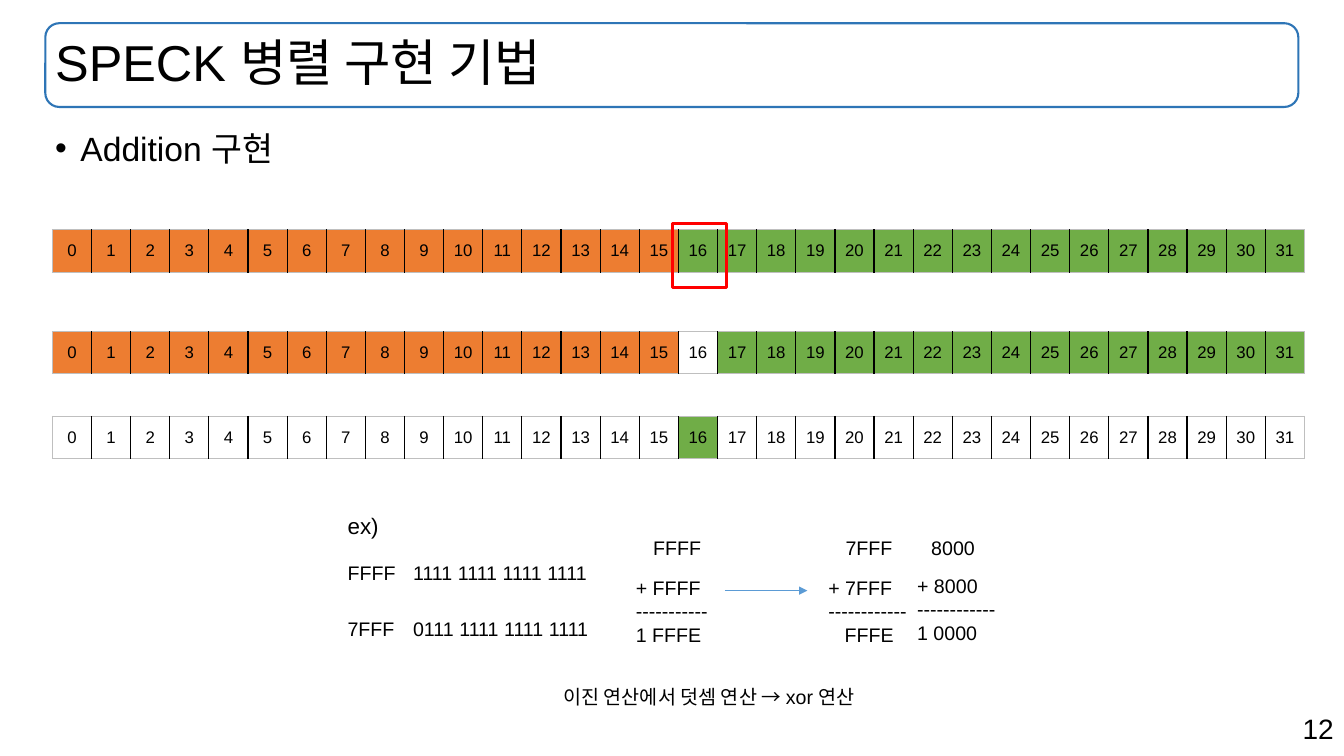
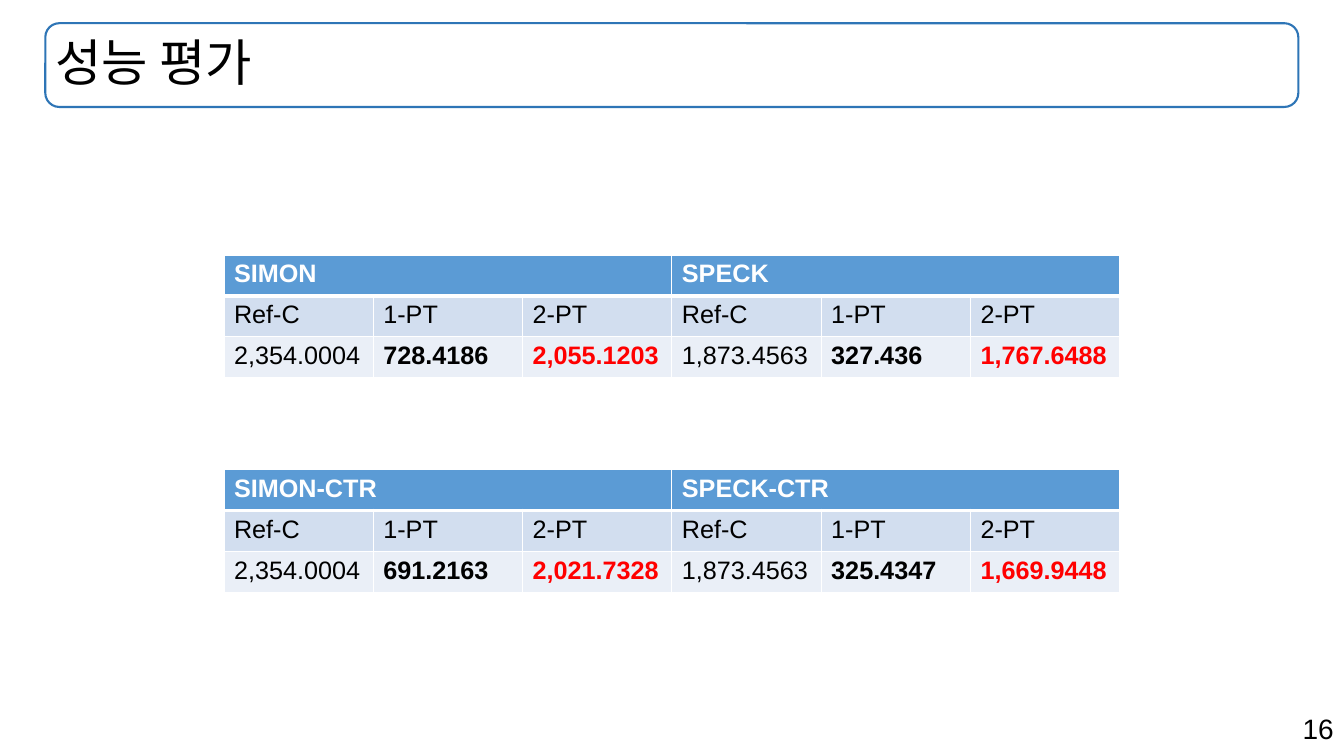
from dataclasses import dataclass
from lxml import etree
from pptx import Presentation
from pptx.dml.color import RGBColor as RGB
from pptx.enum.shapes import MSO_CONNECTOR as LINE, MSO_SHAPE as SHAPE
from pptx.enum.text import MSO_ANCHOR as ANCHOR, PP_ALIGN as ALIGN
from pptx.oxml.ns import qn
from pptx.util import Pt


@dataclass(frozen=True)
class Theme:
    font: str = "Arial"
    ink: str = "000000"
    white: str = "FFFFFF"
    red: str = "FF0000"
    frame: str = "2E75B6"
    blue: str = "5B9BD5"
    head: str = "D2DEEF"
    body: str = "EAEFF7"
    orange: str = "ED7D31"
    green: str = "70AD47"
    edge: str = "BFBFBF"
    title: int = 36
    lead: int = 24
    page: int = 20
    cell: int = 18
    label: int = 16
    note: int = 14
    bit: int = 12


T = Theme()

# Content: slide 1
BITS = 32
HALF = 16
STRIPS = [  # top, fill of low bits, of bit 16, of high bits
    (164.2, T.orange, T.green, T.green),
    (236.9, T.orange, None, T.green),
    (297.4, None, T.green, None),
]
NOTES = [  # left, top, width, size, lines
    (241.2, 362.2, 36.7, T.label, ["ex)"]),
    (241.2, 397.4, 49, T.note, ["FFFF"]),
    (241.2, 437, 48.2, T.note, ["7FFF"]),
    (288, 397.4, 139, T.note, ["1111 1111 1111 1111"]),
    (288, 437, 139.7, T.note, ["0111 1111 1111 1111"]),
    (459.4, 379.4, 49, T.note, ["FFFF"]),
    (447.1, 407.5, 70.6, T.note, ["+ FFFF", "-----------", "1 FFFE"]),
    (596.9, 379.4, 48.2, T.note, ["7FFF"]),
    (584.6, 407.5, 70.6, T.note, ["+ 7FFF", "------------", ("FFFE", 11.7)]),
    (658.1, 379.4, 49.7, T.note, ["8000"]),
    (648, 406.1, 70.6, T.note, ["+ 8000", "------------", "1 0000"]),
    (395.3, 486, 241.2, T.note, ["이진 연산에서 덧셈 연산 → xor 연산"]),
]

# Content: slide 2
HEADS = ["Ref-C", "1-PT", "2-PT"]
SCORES = [  # top, group names, values
    (182.2, ["SIMON", "SPECK"],
     ["2,354.0004", "728.4186", "2,055.1203", "1,873.4563", "327.436", "1,767.6488"]),
    (335.5, ["SIMON-CTR", "SPECK-CTR"],
     ["2,354.0004", "691.2163", "2,021.7328", "1,873.4563", "325.4347", "1,669.9448"]),
]
BAND = (32.4, 16.6, 895, 59.8)


def pts(*nums):
    return [Pt(n) for n in nums]


def style(par, size, color=T.ink, bold=False, align=ALIGN.LEFT):
    par.alignment = align
    font = par.font
    font.name, font.size, font.bold = T.font, Pt(size), bold
    font.color.rgb = RGB.from_string(color)


def text(slide, area, lines, size, wrap=True, align=ALIGN.LEFT):
    """Add a text box; a line may be (text, indent)."""
    frame = slide.shapes.add_textbox(*pts(*area)).text_frame
    frame.word_wrap = wrap
    for i, line in enumerate(lines):
        par = frame.add_paragraph() if i else frame.paragraphs[0]
        words, indent = line if isinstance(line, tuple) else (line, 0)
        par.text = words
        if indent:
            par._p.get_or_add_pPr().set("marL", str(Pt(indent)))
        style(par, size, align=align)
    return frame


def outline(slide, kind, area, color, width):
    box = slide.shapes.add_shape(kind, *pts(*area))
    box.shadow.inherit = False
    box.fill.background()
    box.line.color.rgb = RGB.from_string(color)
    box.line.width = Pt(width)


def start(deck, title, page):
    """Add a slide with page number, title band and title."""
    slide = deck.slides.add_slide(deck.slide_layouts[6])
    text(slide, (679, 504.7, 280.8, 31.7), [page], T.page, align=ALIGN.RIGHT)
    outline(slide, SHAPE.ROUNDED_RECTANGLE, BAND, T.frame, 1.5)
    frame = text(slide, BAND, [title], T.title)
    frame.vertical_anchor = ANCHOR.MIDDLE
    frame.paragraphs[0].line_spacing = 0.9
    return slide


def grid(slide, area, rows, cols):
    table = slide.shapes.add_table(rows, cols, *pts(*area)).table
    table.first_row = table.horz_banding = False
    for col in table.columns:
        col.width = Pt(area[2] / cols)
    for row in table.rows:
        row.height = Pt(area[3] / rows)
    return table


def paint(cell, fill, edges):
    """Set borders, given as side: (color, width), then the fill."""
    props = cell._tc.get_or_add_tcPr()
    for side in "LRTB":
        color, width = edges[side]
        line = etree.SubElement(props, qn(f"a:ln{side}"), w=str(Pt(width)))
        solid = etree.SubElement(line, qn("a:solidFill"))
        etree.SubElement(solid, qn("a:srgbClr"), val=color)
    if fill:
        cell.fill.solid()
        cell.fill.fore_color.rgb = RGB.from_string(fill)
    else:
        cell.fill.background()


def strip(slide, top, low, mid, high):
    table = grid(slide, (37.4, top, 895, 30.2), 1, BITS)
    thin, dark = (T.edge, 0.75), (T.ink, 1)
    for i in range(BITS):
        cell = table.cell(0, i)
        fill = low if i < HALF else mid if i == HALF else high
        paint(cell, fill, {"L": dark if i else thin,
                           "R": dark if i < BITS - 1 else thin,
                           "T": thin, "B": thin})
        cell.text = str(i)
        cell.vertical_anchor = ANCHOR.MIDDLE
        style(cell.text_frame.paragraphs[0], T.bit, align=ALIGN.CENTER)


def arrow(slide, *ends):
    line = slide.shapes.add_connector(LINE.STRAIGHT, *pts(*ends))
    line.line.color.rgb = RGB.from_string(T.blue)
    line.line.width = Pt(0.5)
    etree.SubElement(line.line._get_or_add_ln(), qn("a:tailEnd"), type="triangle")
    etree.SubElement(line._element.spPr, qn("a:effectLst"))


def bullet(slide, area, words):
    frame = text(slide, area, [], T.lead)
    par = frame.paragraphs[0]
    par.text = words
    par.line_spacing = 0.9
    props = par._p.get_or_add_pPr()
    props.set("marL", str(Pt(18)))
    props.set("indent", str(Pt(-18)))
    etree.SubElement(props, qn("a:buFont"), typeface=T.font)
    etree.SubElement(props, qn("a:buChar"), char="•")
    style(par, T.lead)


def score(slide, top, names, values):
    span = len(HEADS)
    table = grid(slide, (160, top, 640, 87.6), 3, len(values))
    tops = [name for group in names for name in [group] + [""] * (span - 1)]
    rows = [tops, HEADS * len(names), values]
    for r, (row, fill) in enumerate(zip(rows, (T.blue, T.head, T.body))):
        for c, words in enumerate(row):
            cell = table.cell(r, c)
            edges = dict.fromkeys("LRTB", (T.white, 1))
            if r < 2:
                edges["B" if r == 0 else "T"] = (T.white, 3)
            paint(cell, fill, edges)
            cell.text = words
            kind = c % span
            last = r == 2
            color = T.white if r == 0 else T.red if last and kind == 2 else T.ink
            style(cell.text_frame.paragraphs[0], T.cell, color,
                  bold=r == 0 or (last and kind > 0))
    for c in range(0, len(values), span):
        table.cell(0, c).merge(table.cell(0, c + span - 1))


def main():
    deck = Presentation()
    deck.slide_width, deck.slide_height = pts(960, 540)

    # Addition
    slide = start(deck, "SPECK 병렬 구현 기법", "12")
    bullet(slide, (32.4, 90.7, 895, 40), "Addition 구현")
    for row in STRIPS:
        strip(slide, *row)
    outline(slide, SHAPE.RECTANGLE, (480.2, 159.8, 38.9, 45.4), T.red, 2.25)
    for left, top, width, size, lines in NOTES:
        high = 7.2 + len(lines) * size * 1.2
        text(slide, (left, top, width, high), lines, size, wrap=False)
    arrow(slide, 517.7, 421.9, 576.7, 421.9)

    # Results
    slide = start(deck, "성능 평가", "16")
    for row in SCORES:
        score(slide, *row)

    deck.save("out.pptx")


if __name__ == "__main__":
    main()
